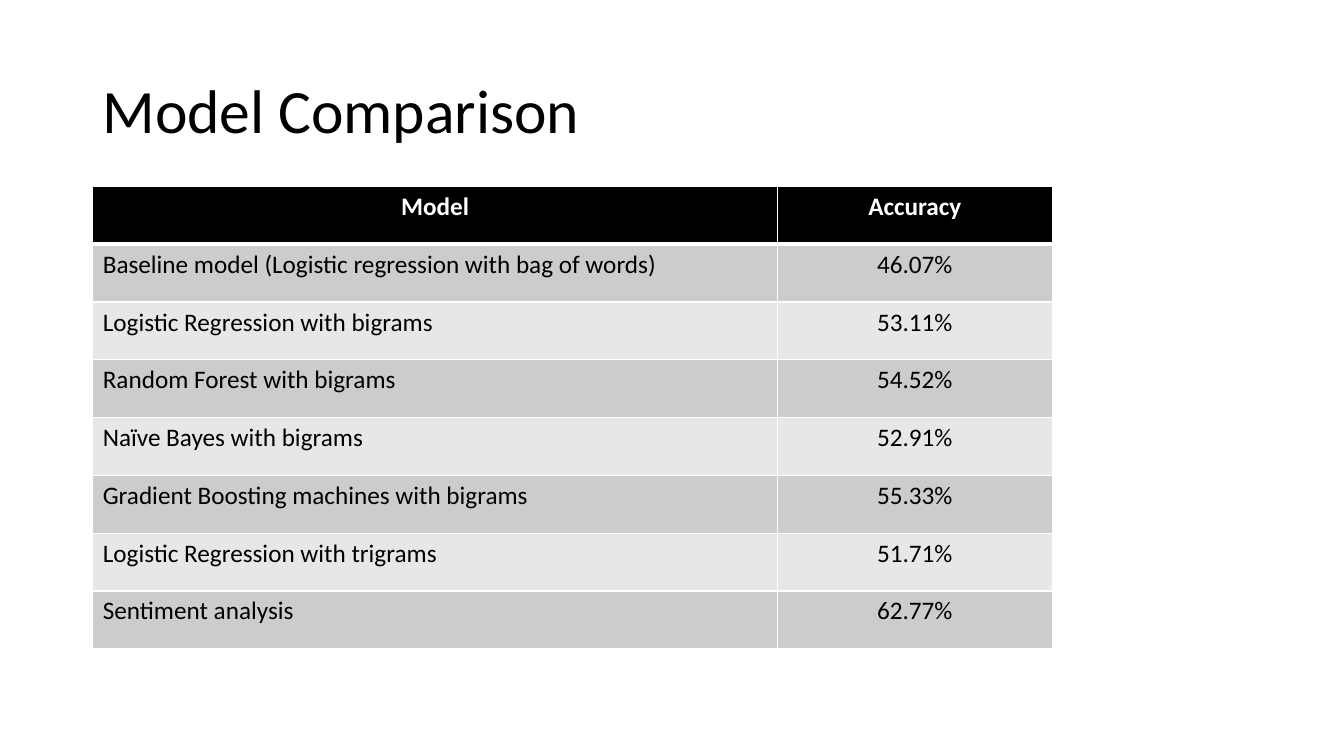
from lxml.etree import SubElement
from pptx import Presentation
from pptx.dml.color import RGBColor
from pptx.enum.text import MSO_ANCHOR as Anchor, PP_ALIGN as Align
from pptx.oxml.ns import qn
from pptx.util import Pt

BLACK = RGBColor(0x00, 0x00, 0x00)
WHITE = RGBColor(0xFF, 0xFF, 0xFF)
DARK_BAND = RGBColor(0xCC, 0xCC, 0xCC)
LIGHT_BAND = RGBColor(0xE7, 0xE7, 0xE7)

RESULTS = [
    ("Model", "Accuracy"),
    ("Baseline model (Logistic regression with bag of words)", "46.07%"),
    ("Logistic Regression with bigrams", "53.11%"),
    ("Random Forest with bigrams", "54.52%"),
    ("Naïve Bayes with bigrams", "52.91%"),
    ("Gradient Boosting machines with bigrams", "55.33%"),
    ("Logistic Regression with trigrams", "51.71%"),
    ("Sentiment analysis", "62.77%"),
]


class Deck:
    font = "Calibri"
    title_size = 44
    table_size = 18

    def __init__(self, width, height):
        self.prs = Presentation()
        self.prs.slide_width, self.prs.slide_height = Pt(width), Pt(height)
        self.s = self.prs.slides.add_slide(self.prs.slide_layouts[5])

    def set_text(self, tf, text, size, color, bold=False, align=Align.LEFT):
        tf.text = text
        p = tf.paragraphs[0]
        p.alignment = align
        f = p.runs[0].font
        f.name, f.size, f.bold = self.font, Pt(size), bold
        f.color.rgb = color
        return p

    def title(self, text, x, y, w, h):
        sp = self.s.shapes.title
        sp.left, sp.top, sp.width, sp.height = Pt(x), Pt(y), Pt(w), Pt(h)
        tf = sp.text_frame
        tf.vertical_anchor = Anchor.MIDDLE
        self.set_text(tf, text, self.title_size, BLACK).line_spacing = 0.9

    def borders(self, cell, top, bottom):
        """Draw white cell borders; side borders are 1 pt wide."""
        tcPr = cell._tc.get_or_add_tcPr()
        for side, width in zip("LRTB", (1, 1, top, bottom)):
            ln = SubElement(tcPr, qn(f"a:ln{side}"), w=str(Pt(width)))
            fill = SubElement(ln, qn("a:solidFill"))
            SubElement(fill, qn("a:srgbClr"), val=str(WHITE))

    def table(self, rows, x, y, col_widths, row_height):
        tbl = self.s.shapes.add_table(
            len(rows), len(col_widths), Pt(x), Pt(y),
            Pt(sum(col_widths)), Pt(row_height * len(rows))).table
        for col, width in zip(tbl.columns, col_widths):
            col.width = Pt(width)
        for i, values in enumerate(rows):
            tbl.rows[i].height = Pt(row_height)
            header = i == 0
            band = BLACK if header else DARK_BAND if i % 2 else LIGHT_BAND
            for j, value in enumerate(values):
                cell = tbl.cell(i, j)
                self.borders(cell, 3 if i == 1 else 1, 3 if header else 1)
                cell.fill.solid()
                cell.fill.fore_color.rgb = band
                self.set_text(cell.text_frame, value, self.table_size,
                              WHITE if header else BLACK, header,
                              Align.CENTER if header or j else Align.LEFT)


def main():
    deck = Deck(960, 540)
    deck.title("Model Comparison", 66, 28.75, 828, 104.4)
    deck.table(RESULTS, 66.25, 133.2, (489, 196.5), 41.3)
    deck.prs.save("out.pptx")


if __name__ == "__main__":
    main()
